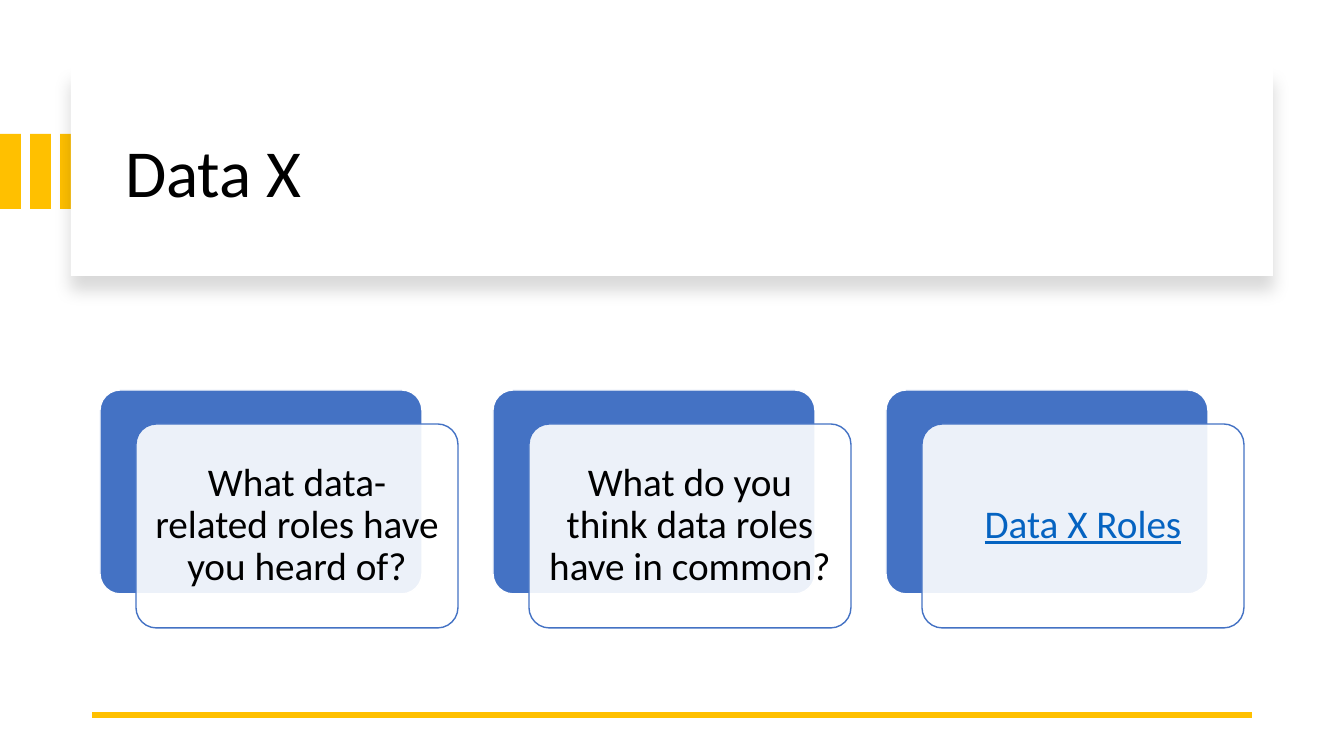
"""Build the Data X slide with a title panel and three question cards."""
import pptx
import pptx.dml.color
import pptx.enum.shapes
import pptx.enum.text
import pptx.oxml
import pptx.oxml.ns
import pptx.util

EMU_PER_PX = 914400 / 100.8
FONT = "Calibri"
GOLD, BLUE, LINK, WHITE, BLACK = "FFC000", "4472C4", "0563C1", "FFFFFF", "000000"
SHAPES = pptx.enum.shapes.MSO_SHAPE
ALIGN = pptx.enum.text.PP_ALIGN
CARDS = [
    ("What data-related roles have you heard of?", BLACK, False),
    ("What do you think data roles have in common?", BLACK, False),
    ("Data X Roles", LINK, True),
]


def px(length):
    """Turn pixels into EMU."""
    return pptx.util.Emu(round(length * EMU_PER_PX))


def color(value):
    """Turn a hex string into a colour."""
    return pptx.dml.color.RGBColor.from_string(value)


def add_block(page, kind, left, top, width, height, fill, line=None):
    """Add a filled preset shape with an optional thin outline."""
    block = page.shapes.add_shape(kind, px(left), px(top), px(width), px(height))
    block.shadow.inherit = False
    block.fill.solid()
    block.fill.fore_color.rgb = color(fill)
    if line:
        block.line.color.rgb = color(line)
        block.line.width = pptx.util.Pt(1)
    else:
        block.line.fill.background()
    return block


def write_text(box, text, size, text_color, align, inset, underline=False):
    """Write one vertically centred paragraph into a box."""
    frame = box.text_frame
    frame.word_wrap = True
    frame.vertical_anchor = pptx.enum.text.MSO_ANCHOR.MIDDLE
    frame.margin_left = frame.margin_right = px(inset)
    frame.margin_top = frame.margin_bottom = px(inset)
    para = frame.paragraphs[0]
    para.alignment = align
    para.line_spacing = 0.9
    span = para.add_run()
    span.text = text
    span.font.name = FONT
    span.font.size = pptx.util.Pt(size)
    span.font.color.rgb = color(text_color)
    if underline:
        span.font.underline = True


def set_opacity(block, percent):
    """Make a solid fill partly transparent."""
    fill_color = block._element.spPr.find(pptx.oxml.ns.qn("a:solidFill"))[0]
    alpha = pptx.oxml.parse_xml(
        f'<a:alpha {pptx.oxml.ns.nsdecls("a")} val="{percent * 1000}"/>')
    fill_color.append(alpha)


def add_drop_shadow(block):
    """Give a block a soft shadow that falls straight down."""
    effects = block._element.spPr.find(pptx.oxml.ns.qn("a:effectLst"))
    effects.append(pptx.oxml.parse_xml(
        f'<a:outerShdw {pptx.oxml.ns.nsdecls("a")} blurRad="{pptx.util.Pt(11)}" '
        f'dist="{pptx.util.Pt(10)}" dir="5400000" algn="t" rotWithShape="0">'
        f'<a:srgbClr val="{BLACK}"><a:alpha val="15000"/></a:srgbClr></a:outerShdw>'))


def add_title(page, text):
    """Add the gold bars, the raised panel and the title."""
    for index in range(3):
        add_block(page, SHAPES.RECTANGLE, index * 30, 134, 21, 75, GOLD)
    panel = add_block(page, SHAPES.RECTANGLE, 71, 67, 1202, 209, WHITE)
    add_drop_shadow(panel)
    title = page.shapes.add_textbox(px(115), px(90), px(1122), px(171))
    write_text(title, text, 48, BLACK, ALIGN.LEFT, 10)


def add_rule(page):
    """Add the gold line at the foot of the slide."""
    rule = page.shapes.add_connector(
        pptx.enum.shapes.MSO_CONNECTOR.STRAIGHT, px(1252), px(715), px(92), px(715))
    rule.line.color.rgb = color(GOLD)
    rule.line.width = pptx.util.Pt(4.5)
    rule._element.spPr.append(
        pptx.oxml.parse_xml(f'<a:effectLst {pptx.oxml.ns.nsdecls("a")}/>'))


def add_card(page, left, text, text_color, underline):
    """Add a blue card with a translucent text card in front."""
    top, width, height = 390, 322, 204
    back = add_block(page, SHAPES.ROUNDED_RECTANGLE, left, top, width, height, BLUE, WHITE)
    front = add_block(page, SHAPES.ROUNDED_RECTANGLE, left + 36, top + 34,
                      width, height, WHITE, BLUE)
    for block in (back, front):
        block.adjustments[0] = 0.1
    set_opacity(front, 90)
    write_text(front, text, 28, text_color, ALIGN.CENTER, 12, underline)


def main():
    """Build and save the slide."""
    deck = pptx.Presentation()
    deck.slide_width, deck.slide_height = px(1344), px(756)
    page = deck.slides.add_slide(deck.slide_layouts[6])
    add_title(page, "Data X")
    add_rule(page)
    for index, (text, text_color, underline) in enumerate(CARDS):
        add_card(page, 100 + index * 393, text, text_color, underline)
    deck.save("out.pptx")


if __name__ == "__main__":
    main()
